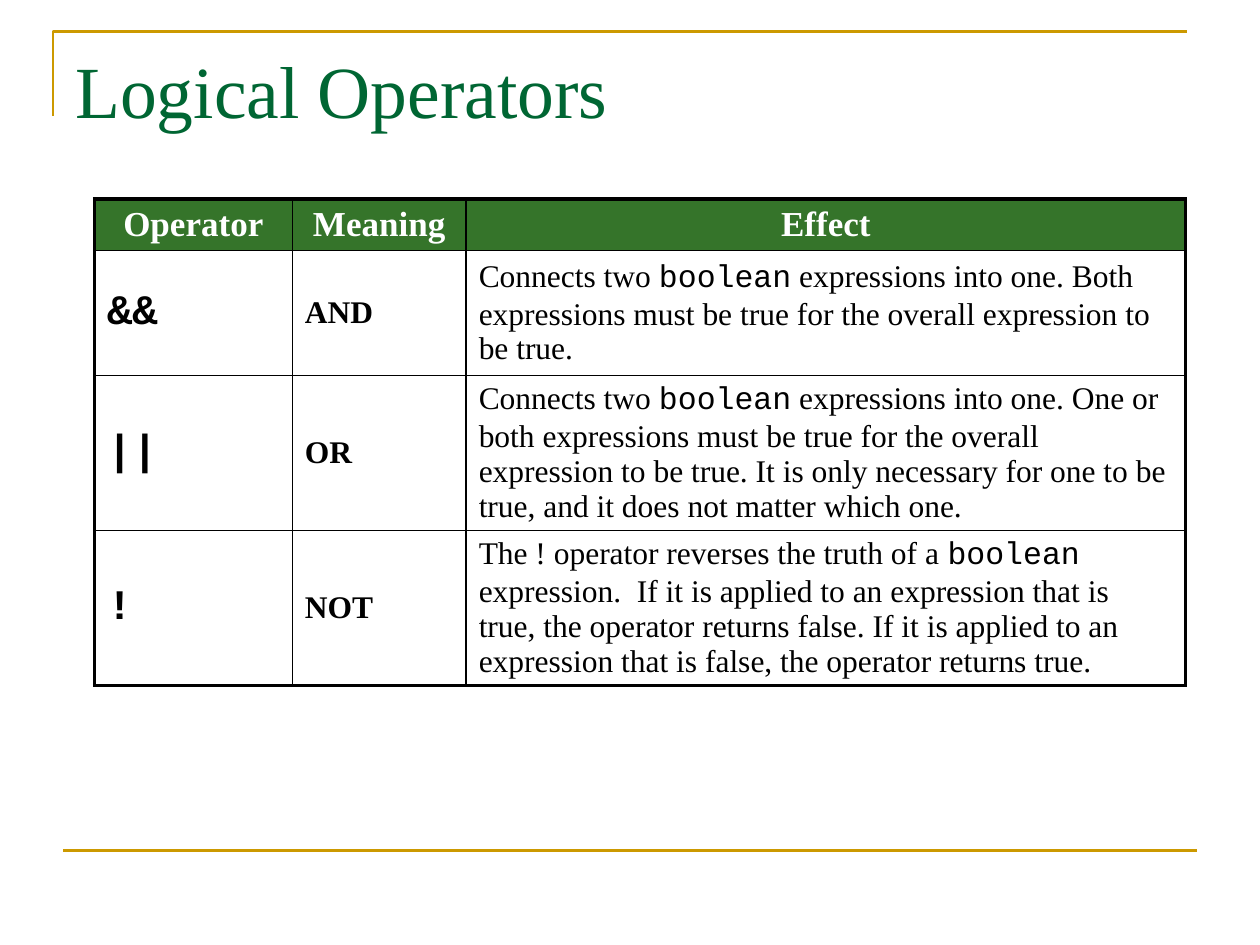
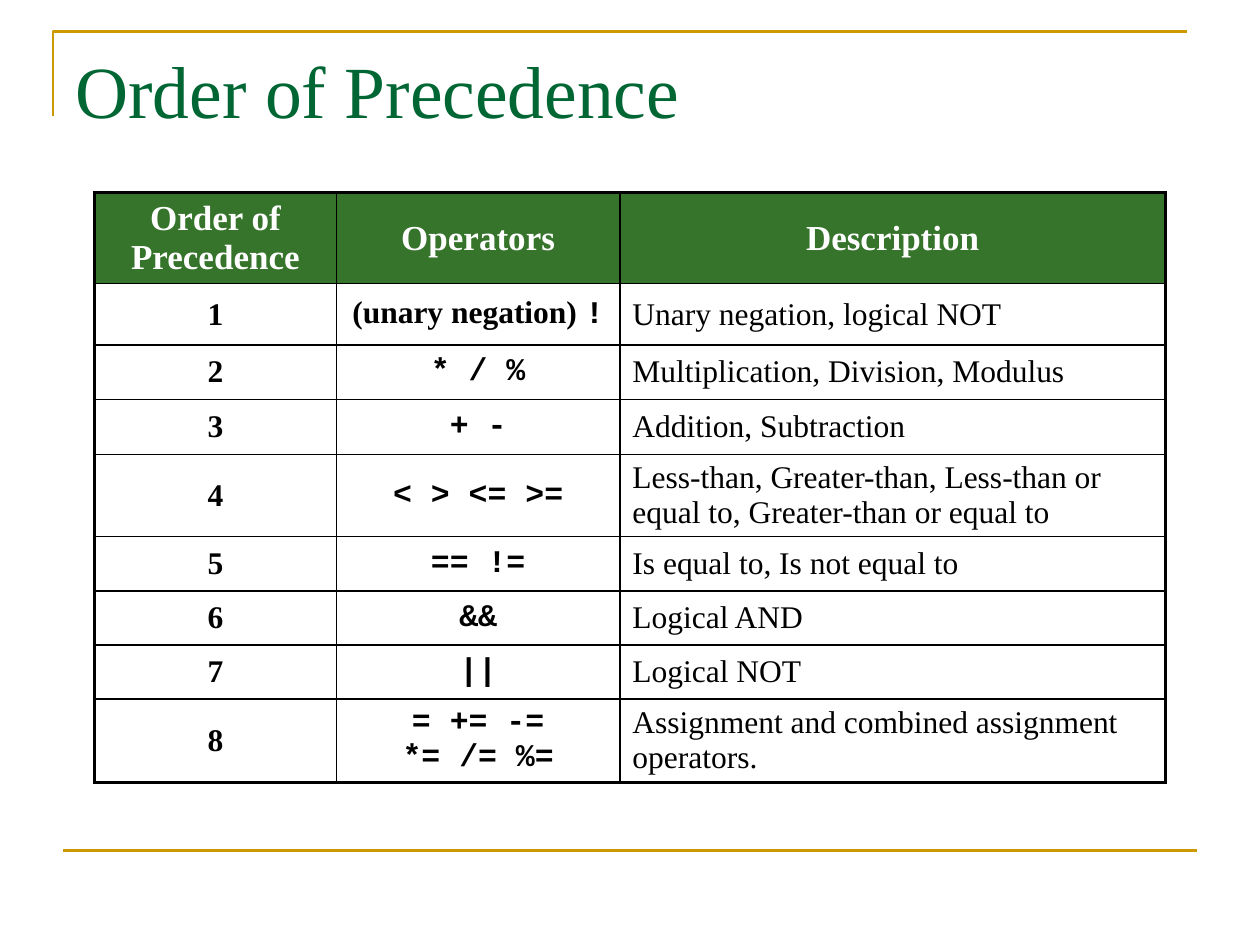
import dataclasses

import pptx
import pptx.dml.color
import pptx.enum.shapes
import pptx.enum.text
import pptx.oxml
import pptx.oxml.ns
import pptx.util
from pptx.util import Inches

# Shared look
GOLD, TITLE_GREEN, HEADER_GREEN = "CC9900", "006633", "35742A"
BLACK, WHITE = "000000", "FFFFFF"
BODY_FONT, CODE_FONT = "Times New Roman", "Courier New"
RULE_WIDTH = 1.5
OUTER_BORDER, INNER_BORDER = 2.25, 1
LEFT = pptx.enum.text.PP_ALIGN.LEFT
CENTER = pptx.enum.text.PP_ALIGN.CENTER
MIDDLE = pptx.enum.text.MSO_ANCHOR.MIDDLE


@dataclasses.dataclass
class CellStyle:
    size: int = 18
    bold: bool = False
    align: int = LEFT
    color: str = BLACK


HEADER = CellStyle(20, True, CENTER, WHITE)
DESCRIPTION = CellStyle()
LABEL = CellStyle(bold=True)
CENTERED_LABEL = CellStyle(bold=True, align=CENTER)
LARGE_OPERATOR = CellStyle(24, True)

# Table content; backticks enclose code
LOGICAL_OPERATORS = [
    ("Operator", "Meaning", "Effect"),
    ("`&&`", "AND",
     "Connects two `boolean` expressions into one. Both expressions must be "
     "true for the overall expression to be true."),
    ("`||`", "OR",
     "Connects two `boolean` expressions into one. One or both expressions "
     "must be true for the overall expression to be true. It is only necessary "
     "for one to be true, and it does not matter which one."),
    ("`!`", "NOT",
     "The ! operator reverses the truth of a `boolean` expression.  If it is "
     "applied to an expression that is true, the operator returns false. If it "
     "is applied to an expression that is false, the operator returns true."),
]
PRECEDENCE = [
    ("Order of Precedence", "Operators", "Description"),
    ("1", "(unary negation) `!`", "Unary negation, logical NOT"),
    ("2", "`* / %`", "Multiplication, Division, Modulus"),
    ("3", "`+ -`", "Addition, Subtraction"),
    ("4", "`< > <= >=`",
     "Less-than, Greater-than, Less-than or equal to, Greater-than or equal to"),
    ("5", "`== !=`", "Is equal to, Is not equal to"),
    ("6", "`&&`", "Logical AND"),
    ("7", "`||`", "Logical NOT"),
    ("8", "`= += -=`\n`*= /= %=`", "Assignment and combined assignment operators."),
]


def rgb(color):
    return pptx.dml.color.RGBColor.from_string(color)


def style_rule(line):
    line.color.rgb = rgb(GOLD)
    line.width = pptx.util.Pt(RULE_WIDTH)


def add_frame(slide):
    """Gold corner at the top and gold rule at the bottom."""
    builder = slide.shapes.build_freeform(Inches(0.42), Inches(0.92))
    builder.add_line_segments(
        [(Inches(0.42), Inches(0.25)), (Inches(9.42), Inches(0.25))], close=False)
    corner = builder.convert_to_shape()
    corner.shadow.inherit = False
    corner.fill.background()
    style_rule(corner.line)

    rule = slide.shapes.add_connector(
        pptx.enum.shapes.MSO_CONNECTOR.STRAIGHT,
        Inches(0.5), Inches(6.75), Inches(9.5), Inches(6.75))
    style_rule(rule.line)
    rule._element.spPr.append(pptx.oxml.parse_xml(
        f"<a:effectLst {pptx.oxml.ns.nsdecls('a')}/>"))


def add_title(slide, text):
    box = slide.shapes.add_textbox(Inches(0.5), Inches(0.3), Inches(9), Inches(1.25))
    box.text_frame.word_wrap = True
    box.text_frame.margin_top = Inches(0.06)
    paragraph = box.text_frame.paragraphs[0]
    paragraph.text = text
    paragraph.font.name = BODY_FONT
    paragraph.font.size = pptx.util.Pt(42)
    paragraph.font.color.rgb = rgb(TITLE_GREEN)


def fill_paragraph(paragraph, text, style):
    pieces = [(piece, CODE_FONT if index % 2 else BODY_FONT)
              for index, piece in enumerate(text.split("`")) if piece]
    paragraph.alignment = style.align
    paragraph.font.size = pptx.util.Pt(style.size)
    paragraph.font.bold = style.bold
    paragraph.font.color.rgb = rgb(style.color)
    paragraph.font.name = pieces[0][1]
    for piece, font_name in pieces:
        run = paragraph.add_run()
        run.text = piece
        if font_name != pieces[0][1]:
            run.font.name = font_name


def set_borders(cell, widths):
    """Widths in points: left, right, top, bottom."""
    properties = cell._tc.get_or_add_tcPr()
    for index, (side, width) in enumerate(zip("LRTB", widths)):
        properties.insert(index, pptx.oxml.parse_xml(
            f'<a:ln{side} {pptx.oxml.ns.nsdecls("a")} w="{pptx.util.Pt(width)}">'
            f'<a:solidFill><a:srgbClr val="{BLACK}"/></a:solidFill></a:ln{side}>'))


def fill_cell(cell, text, style, is_header):
    cell.vertical_anchor = MIDDLE
    # Small margins keep the rows at their set heights
    cell.margin_top = cell.margin_bottom = Inches(0.01)
    if is_header:
        cell.fill.solid()
        cell.fill.fore_color.rgb = rgb(HEADER_GREEN)
    else:
        cell.fill.background()
    frame = cell.text_frame
    for index, line in enumerate(text.split("\n")):
        paragraph = frame.add_paragraph() if index else frame.paragraphs[0]
        fill_paragraph(paragraph, line, style)


def add_grid(slide, top, widths, heights, rows, column_styles):
    table = slide.shapes.add_table(
        len(rows), len(widths), Inches(0.75), Inches(top),
        Inches(sum(widths)), Inches(sum(heights))).table
    table.first_row = table.horz_banding = False
    for column, width in zip(table.columns, widths):
        column.width = Inches(width)
    for row, height in zip(table.rows, heights):
        row.height = Inches(height)

    last_row, last_column = len(rows) - 1, len(widths) - 1
    for row_index, row in enumerate(rows):
        for column_index, text in enumerate(row):
            cell = table.cell(row_index, column_index)
            is_header = row_index == 0
            style = HEADER if is_header else column_styles[column_index]
            fill_cell(cell, text, style, is_header)
            on_edge = (column_index == 0, column_index == last_column,
                       row_index == 0, row_index == last_row)
            set_borders(cell, [OUTER_BORDER if edge else INNER_BORDER
                               for edge in on_edge])


def add_content_slide(presentation, title):
    slide = presentation.slides.add_slide(presentation.slide_layouts[6])
    add_frame(slide)
    add_title(slide, title)
    return slide


def main():
    presentation = pptx.Presentation()
    presentation.slide_width, presentation.slide_height = Inches(10), Inches(7.5)

    # Logical operators
    slide = add_content_slide(presentation, "Logical Operators")
    add_grid(slide, 1.58, [1.57, 1.38, 5.71], [0.41, 0.99, 1.23, 1.23],
             LOGICAL_OPERATORS, [LARGE_OPERATOR, LABEL, DESCRIPTION])

    # Order of precedence
    slide = add_content_slide(presentation, "Order of Precedence")
    add_grid(slide, 1.53, [1.92, 2.25, 4.33],
             [0.72, 0.49, 0.43, 0.44, 0.65, 0.43, 0.43, 0.43, 0.66],
             PRECEDENCE, [CENTERED_LABEL, CENTERED_LABEL, DESCRIPTION])

    presentation.save("out.pptx")


if __name__ == "__main__":
    main()
